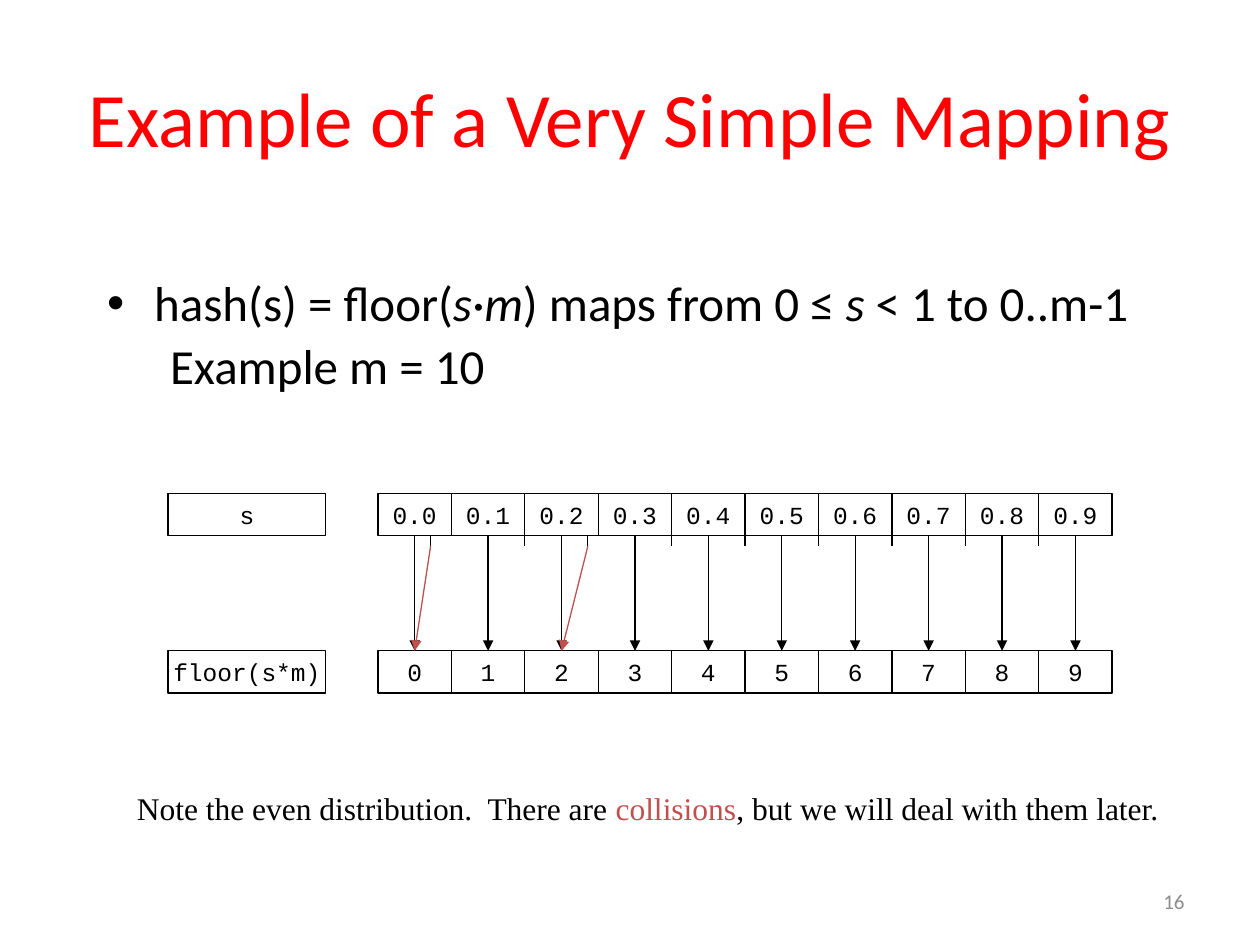
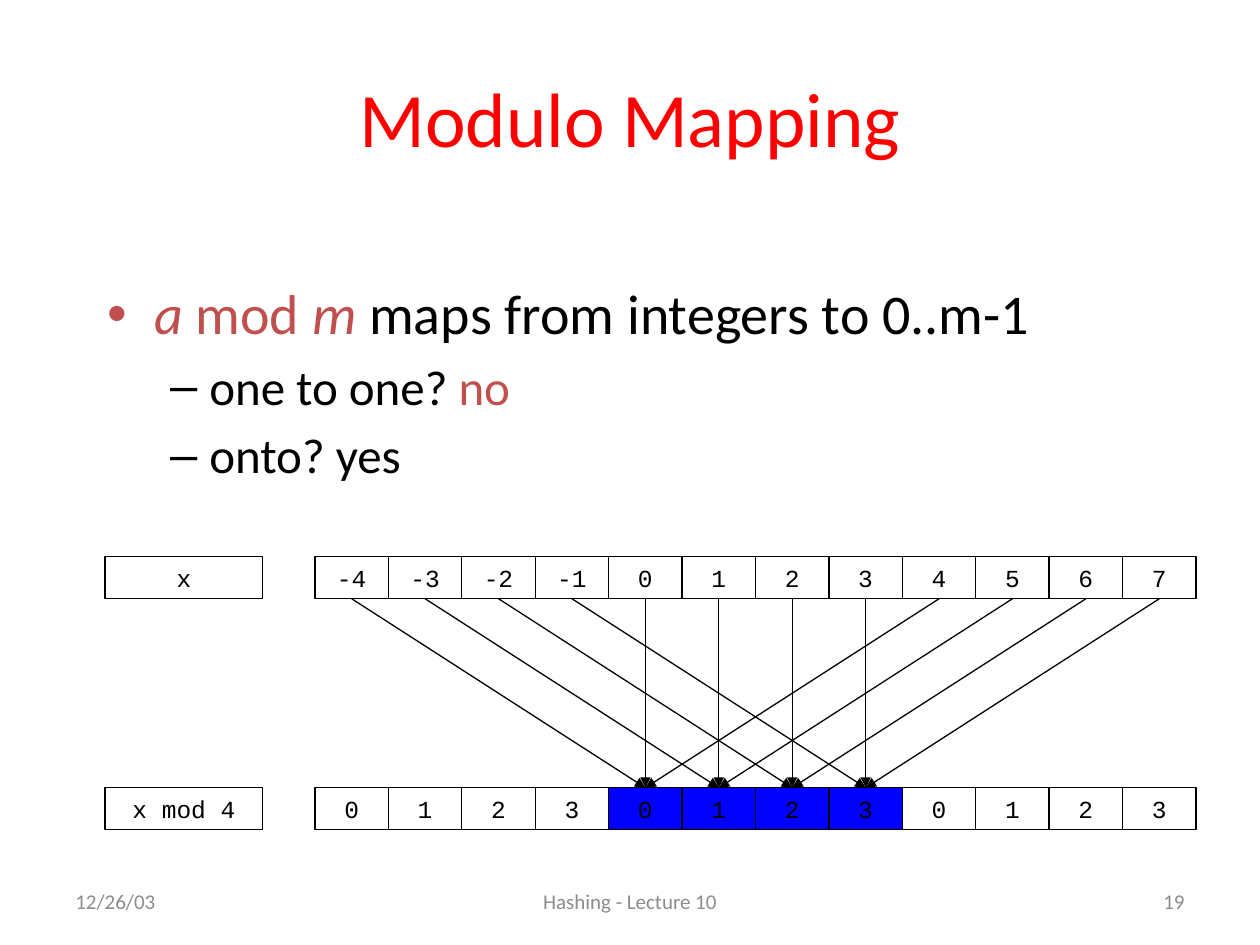
"""Build two slides that show simple hash mappings as rows of cells joined by arrows."""
from lxml import etree
from pptx import Presentation
from pptx.dml.color import RGBColor
from pptx.enum.shapes import MSO_CONNECTOR, MSO_SHAPE
from pptx.enum.text import MSO_ANCHOR, PP_ALIGN
from pptx.oxml.ns import qn
from pptx.util import Cm, Pt

LEFT, CENTER, RIGHT = PP_ALIGN.LEFT, PP_ALIGN.CENTER, PP_ALIGN.RIGHT
TOP, MIDDLE = MSO_ANCHOR.TOP, MSO_ANCHOR.MIDDLE
RECTANGLE, STRAIGHT = MSO_SHAPE.RECTANGLE, MSO_CONNECTOR.STRAIGHT

COLORS = {
    "title": "FF0000",
    "text": "000000",
    "accent": "C0504D",
    "footer": "8C8C8C",
    "highlight": "0000FF",
}
SANS, MONO, SERIF = "Calibri", "Courier New", "Times New Roman"
CELL_WIDTH, CELL_HEIGHT = 1.48, 0.85
LABEL_WIDTH, LABEL_OFFSET = 3.18, 4.23
TICK_LENGTH = 0.21
INDENTS = {0: (0.95, -0.95), 1: (2.06, -0.79)}


def color(name):
    return RGBColor.from_string(COLORS[name])


class Deck:
    def __init__(self):
        self.presentation = Presentation()
        self.presentation.slide_width = Cm(25.4)
        self.presentation.slide_height = Cm(19.05)
        self.slide = None

    def add_slide(self, title, number):
        self.slide = self.presentation.slides.add_slide(self.presentation.slide_layouts[6])
        self.text(1.27, 0.76, 22.86, 3.18, [(title,)], 44, "title", align=CENTER)
        self.footer(18.2, 5.93, str(number), RIGHT)

    def footer(self, left, width, text, align):
        self.text(left, 17.65, width, 1.02, [(text,)], 12, "footer", align=align)

    def add_runs(self, paragraph, runs, size, color_name, font=SANS, align=LEFT):
        paragraph.alignment = align
        paragraph.font.name = font
        paragraph.font.size = Pt(size)
        paragraph.font.color.rgb = color(color_name)
        for text, *style in runs:
            run = paragraph.add_run()
            run.text = text
            if "italic" in style:
                run.font.italic = True
            if "accent" in style:
                run.font.color.rgb = color("accent")

    def text_frame(self, left, top, width, height, anchor, wrap=True):
        box = self.slide.shapes.add_textbox(Cm(left), Cm(top), Cm(width), Cm(height))
        frame = box.text_frame
        frame.word_wrap = wrap
        frame.vertical_anchor = anchor
        return frame

    def text(self, left, top, width, height, runs, size, color_name, font=SANS,
             align=LEFT, wrap=True):
        frame = self.text_frame(left, top, width, height, MIDDLE, wrap)
        self.add_runs(frame.paragraphs[0], runs, size, color_name, font, align)

    def body(self, height, items, line_spacing=1.0):
        frame = self.text_frame(1.91, 5.5, 21.59, height, TOP)
        for index, (level, bullet, size, runs) in enumerate(items):
            paragraph = frame.add_paragraph() if index else frame.paragraphs[0]
            paragraph.level = level
            self.bullet(paragraph, level, bullet, "accent" if "accent" in runs[0] else "text")
            paragraph.line_spacing = line_spacing
            paragraph.space_before = Pt(size * 0.2)
            self.add_runs(paragraph, runs, size, "text")

    def bullet(self, paragraph, level, character, color_name):
        properties = paragraph._p.get_or_add_pPr()
        margin, indent = INDENTS[level]
        properties.set("marL", str(Cm(margin)))
        properties.set("indent", str(Cm(indent)))
        if not character:
            etree.SubElement(properties, qn("a:buNone"))
            return
        bullet_color = etree.SubElement(properties, qn("a:buClr"))
        etree.SubElement(bullet_color, qn("a:srgbClr"), val=COLORS[color_name])
        etree.SubElement(properties, qn("a:buFont"), typeface="Arial")
        etree.SubElement(properties, qn("a:buChar"), char=character)

    def cell(self, left, top, width, text, fill=None):
        shape = self.slide.shapes.add_shape(
            RECTANGLE, Cm(left), Cm(top), Cm(width), Cm(CELL_HEIGHT))
        shape.shadow.inherit = False
        if fill:
            shape.fill.solid()
            shape.fill.fore_color.rgb = color(fill)
        else:
            shape.fill.background()
        shape.line.color.rgb = color("text")
        shape.line.width = Pt(0.75)
        frame = shape.text_frame
        frame.word_wrap = False
        frame.vertical_anchor = MIDDLE
        self.add_runs(frame.paragraphs[0], [(text,)], 14, "text", MONO, CENTER)

    def row(self, left, top, label, values, highlighted=()):
        for index, value in enumerate(values):
            fill = "highlight" if index in highlighted else None
            self.cell(left + index * CELL_WIDTH, top, CELL_WIDTH, str(value), fill)
        self.cell(left - LABEL_OFFSET, top, LABEL_WIDTH, label)

    def line(self, start, end, color_name="text", arrow=True):
        connector = self.slide.shapes.add_connector(STRAIGHT, *map(Cm, start + end))
        connector.line.color.rgb = color(color_name)
        connector.line.width = Pt(0.75)
        if arrow:
            etree.SubElement(connector.line._get_or_add_ln(), qn("a:tailEnd"), type="triangle")
        etree.SubElement(connector._element.spPr, qn("a:effectLst"))


def cell_center(left, index):
    return left + (index + 0.5) * CELL_WIDTH


def build_simple_mapping(deck):
    deck.add_slide("Example of a Very Simple Mapping", 16)
    deck.body(2.74, [
        (0, "•", 28, [("hash(s) = floor(",), ("s·m", "italic"), (") maps from 0 ≤ ",),
                      ("s ", "italic"), ("< 1 to 0..m-1",)]),
        (1, None, 28, [("Example m = 10",)]),
    ], line_spacing=0.9)
    left, top, bottom = 7.62, 9.95, 13.12
    edge = top + CELL_HEIGHT
    tick_end = edge + TICK_LENGTH
    deck.row(left, top, "s", [f"0.{digit}" for digit in range(10)])
    deck.row(left, bottom, "floor(s*m)", range(10))
    for index in range(10):
        center = cell_center(left, index)
        deck.line((center, edge), (center, bottom))
    collisions = {0: 8.68, 2: 11.85}
    boundaries = [left + index * CELL_WIDTH for index in (2, 4, 5, 6, 7, 8, 9)]
    for x in [*boundaries, *collisions.values()]:
        deck.line((x, edge), (x, tick_end), arrow=False)
    for index, x in collisions.items():
        deck.line((x, tick_end), (cell_center(left, index), bottom), "accent")
    deck.text(1.35, 15.75, 23.42, 1.09, [
        ("Note the even distribution.  There are ",), ("collisions", "accent"),
        (", but we will deal with them later.",),
    ], 18, "text", SERIF, CENTER, wrap=False)


def build_modulo_mapping(deck):
    deck.add_slide("Modulo Mapping", 19)
    deck.footer(1.27, 5.93, "12/26/03", LEFT)
    deck.footer(8.68, 8.04, "Hashing - Lecture 10", CENTER)
    deck.body(4.87, [
        (0, "•", 32, [("a", "italic", "accent"), (" mod ", "accent"),
                      ("m", "italic", "accent"), (" maps from integers to 0..m-1",)]),
        (1, "–", 28, [("one to one? ",), ("no", "accent")]),
        (1, "–", 28, [("onto? yes",)]),
    ])
    left, top, bottom, modulus = 6.35, 11.22, 15.88, 4
    values = range(-4, 8)
    targets = range(modulus, 2 * modulus)
    deck.row(left, top, "x", values)
    deck.row(left, bottom, "x mod 4", [value % modulus for value in values], targets)
    for index, value in enumerate(values):
        target = targets[value % modulus]
        deck.line((cell_center(left, index), top + CELL_HEIGHT),
                  (cell_center(left, target), bottom))


deck = Deck()
build_simple_mapping(deck)
build_modulo_mapping(deck)
deck.presentation.save("out.pptx")
